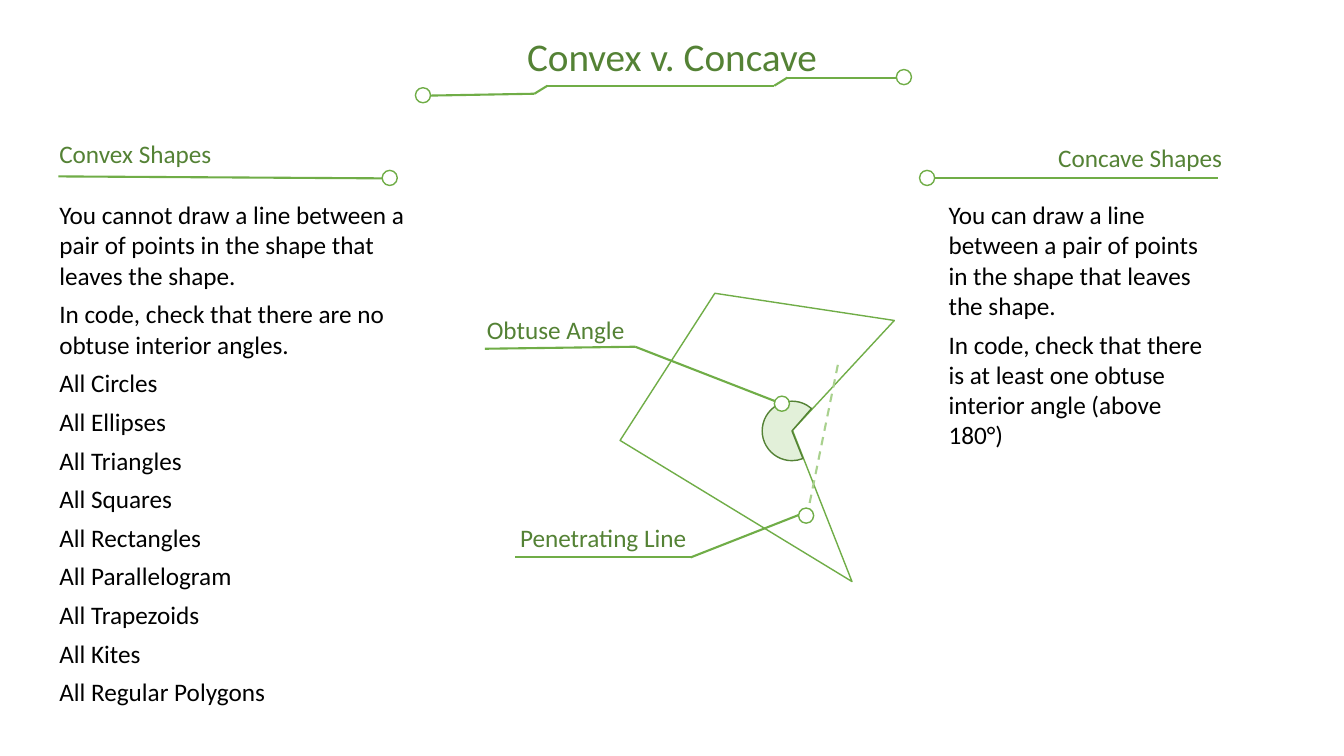
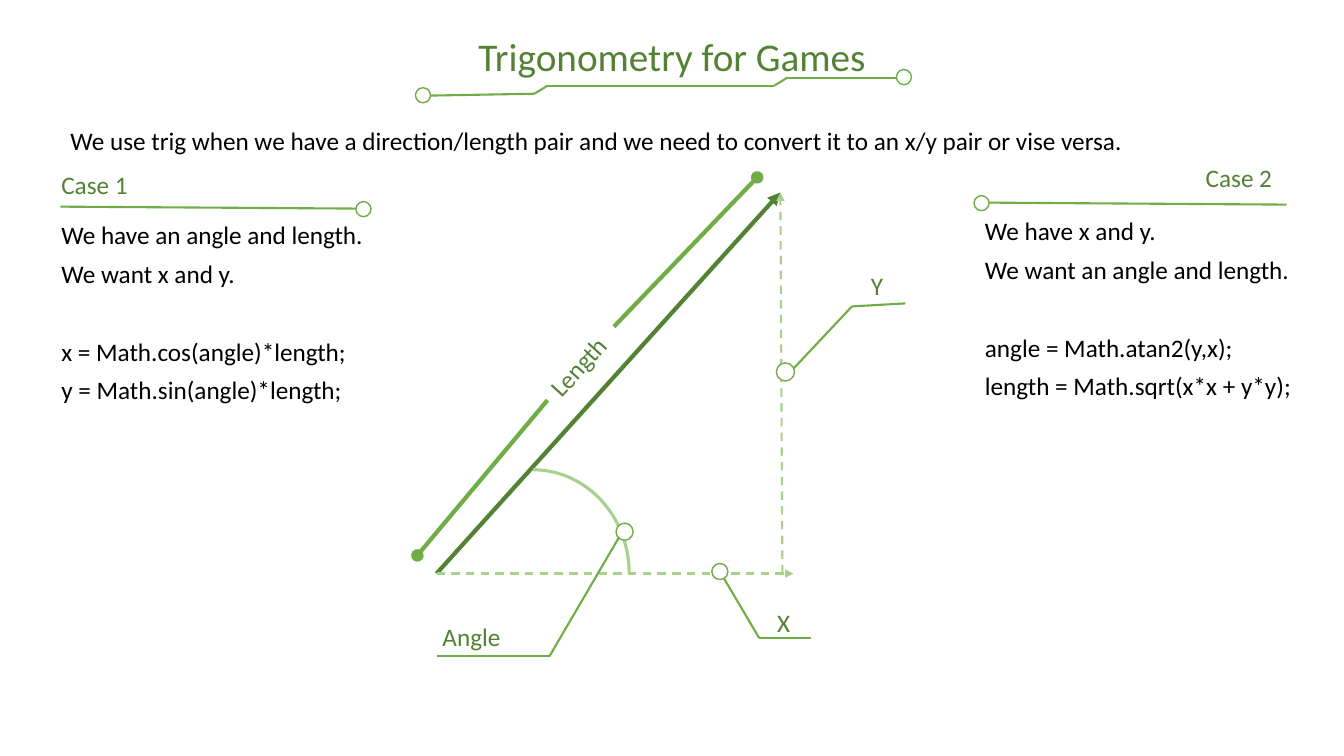
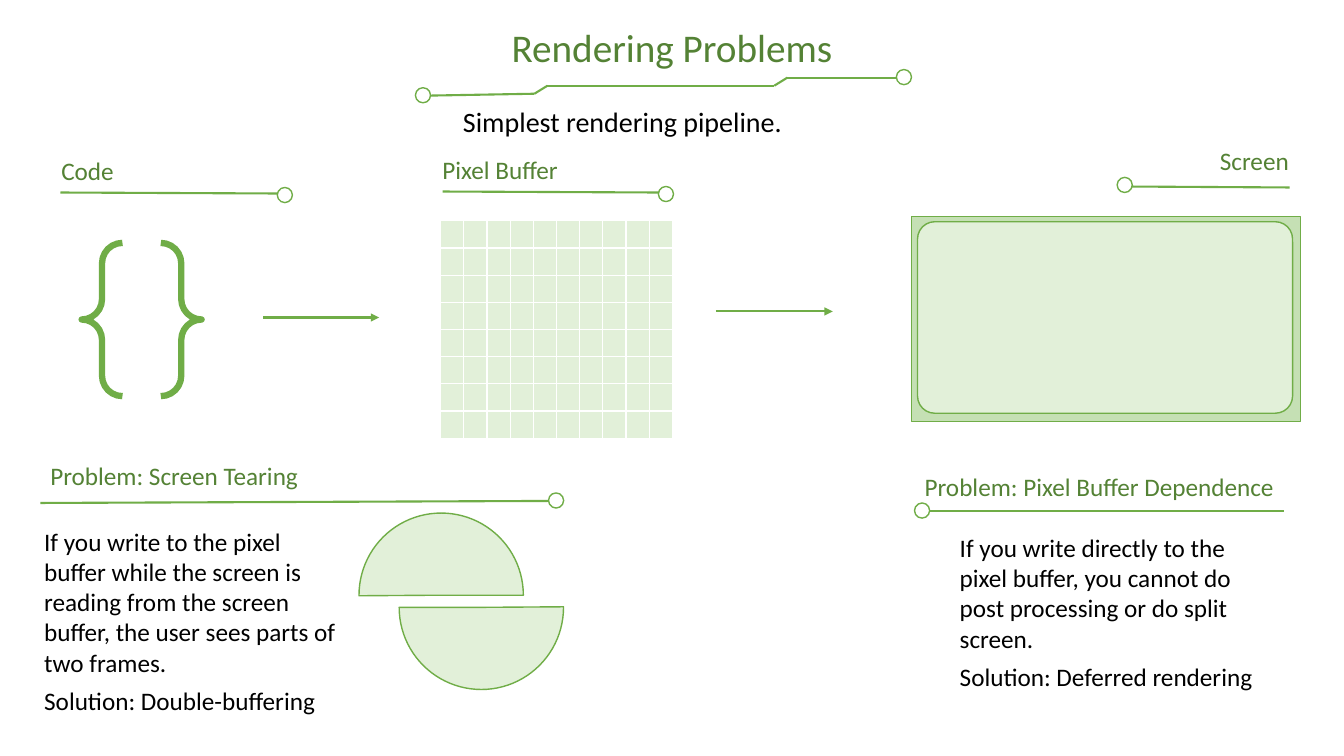
import lxml.etree
import pptx
import pptx.dml.color
import pptx.enum.dml
import pptx.enum.shapes
import pptx.enum.text
import pptx.oxml.ns
import pptx.util

SHAPE = pptx.enum.shapes.MSO_SHAPE
ALIGN = pptx.enum.text.PP_ALIGN
LEFT, CENTER, RIGHT = ALIGN.LEFT, ALIGN.CENTER, ALIGN.RIGHT
qn = pptx.oxml.ns.qn

# Shared look: 100 px to the inch
SCALE = 9144
FONT = "Calibri"
WHITE, BLACK = "FFFFFF", "000000"
DARK, GREEN, LIGHT, SOFT, PALE = "548235", "70AD47", "A9D18E", "C5E0B4", "E2F0D9"
RING = 15
TITLE_RULE = [(417, 95), (530, 93), (543, 85), (768, 85), (781, 77), (894, 77)]
TITLE_RINGS = [(412, 87), (889, 69)]

# Callouts: text, box, alignment, rule points, ring (left, top, size)
CONVEX_CALLOUTS = [
    ("Convex Shapes", (49, 132, 173, 40), LEFT, [(58, 175), (384, 177)], (379, 169, RING)),
    ("Concave Shapes", (914, 136, 308, 40), RIGHT, [(923, 177), (1208, 177)], (912, 169, RING)),
    ("Obtuse Angle", (473, 307, 158, 40), LEFT,
     [(481, 346), (630, 344), (774, 400)], (768, 393, RING)),
    ("Penetrating Line", (506, 513, 187, 40), LEFT,
     [(511, 553), (685, 553), (792, 511)], (792, 504, RING)),
]
TRIG_CALLOUTS = [
    ("Case 1", (51, 163, 87, 40), LEFT, [(60, 205), (360, 207)], (353, 200, RING)),
    ("Case 2", (1186, 156, 87, 40), LEFT, [(976, 201), (1276, 203)], (966, 194, RING)),
    ("Y", (854, 263, 49, 61), LEFT, [(898, 301), (845, 304), (782, 371)], (770, 360, 18)),
    ("X", (761, 598, 51, 61), LEFT, [(804, 633), (753, 633), (714, 567)], (706, 559, 16)),
    ("Angle", (429, 611, 119, 61), LEFT, [(433, 651), (545, 651), (614, 533)], (611, 519, 17)),
]
RENDER_CALLOUTS = [
    ("Code", (51, 149, 73, 40), LEFT, [(60, 191), (278, 192)], (275, 186, RING)),
    ("Pixel Buffer", (429, 148, 136, 40), LEFT, [(439, 190), (656, 191)], (653, 185, RING)),
    ("Screen", (1200, 139, 89, 40), LEFT, [(1112, 185), (1279, 186)], (1108, 176, RING)),
    ("Problem: Screen Tearing", (40, 452, 269, 40), LEFT,
     [(40, 499), (544, 497)], (544, 489, RING)),
    ("Problem: Pixel Buffer Dependence ", (816, 463, 463, 40), RIGHT,
     [(922, 507), (1274, 507)], (907, 499, RING)),
]

# Body texts
CONVEX_TEXT = [
    "You cannot draw a line between a pair of points in the shape that leaves the shape.",
    "In code, check that there are no obtuse interior angles.",
] + ["All " + kind for kind in (
    "Circles", "Ellipses", "Triangles", "Squares", "Rectangles",
    "Parallelogram", "Trapezoids", "Kites", "Regular Polygons")]
CONCAVE_TEXT = [
    "You can draw a line between a pair of points in the shape that leaves the shape.",
    "In code, check that there is at least one obtuse interior angle (above 180°)",
]
TRIG_INTRO = ["We use trig when we have a direction/length pair and we need to convert it "
              "to an x/y pair or vise versa."]
CASE_1 = ["We have an angle and length.", "We want x and y.",
          "x = Math.cos(angle)*length;", "y = Math.sin(angle)*length;"]
CASE_2 = ["We have x and y.", "We want an angle and length.",
          "angle = Math.atan2(y,x);", "length = Math.sqrt(x*x + y*y);"]
TEARING = [
    "If you write to the pixel buffer while the screen is reading from the screen buffer, "
    "the user sees parts of two frames.",
    "Solution: Double-buffering",
]
DEPENDENCE = [
    "If you write directly to the pixel buffer, you cannot do post processing or do split screen.",
    "Solution: Deferred rendering",
]

# Figures
CONCAVE_OUTLINE = [(786, 427), (887, 318), (709, 291), (615, 437), (845, 577)]
OBTUSE_ANGLE = (68.2, 311.15)
HALF_CIRCLE = (89.6, 270)
# Start, end, colour, width, dashed, arrowhead at the end
TRIG_LINES = [
    ((433, 569), (774, 191), DARK, 3, False, "triangle"),
    ((433, 569), (787, 569), LIGHT, 1.5, True, "triangle"),
    ((776, 569), (774, 191), LIGHT, 1.5, True, "triangle"),
    ((609, 324), (751, 176), GREEN, 3, False, "oval"),
    ((543, 397), (414, 551), GREEN, 3, False, "oval"),
]
PIPELINE_ARROWS = [((261, 315), (376, 315)), ((710, 309), (826, 309))]
BUFFER_ROWS, BUFFER_COLUMNS = 8, 10
PIXEL_WIDTH, PIXEL_HEIGHT = 23, 27


def px(*lengths):
    return [pptx.util.Emu(length * SCALE) for length in lengths]


def color(value):
    return pptx.dml.color.RGBColor.from_string(value)


def style(shape, fill, line, width=1):
    shape.shadow.inherit = False
    if fill:
        shape.fill.solid()
        shape.fill.fore_color.rgb = color(fill)
    else:
        shape.fill.background()
    shape.line.color.rgb = color(line)
    shape.line.width = pptx.util.Pt(width)


def add_shape(slide, kind, box, fill=None, line=GREEN, width=1, adjustments=(), rotation=0):
    shape = slide.shapes.add_shape(kind, *px(*box))
    style(shape, fill, line, width)
    for index, value in enumerate(adjustments):
        shape.adjustments[index] = value
    shape.rotation = rotation


def add_pie(slide, box, angles, line=GREEN, rotation=0):
    # Adjustments count 60000ths of a degree in units of 100000
    add_shape(slide, SHAPE.PIE, box, PALE, line, 1, [angle * 0.6 for angle in angles], rotation)


def add_ring(slide, left, top, size=RING):
    add_shape(slide, SHAPE.OVAL, (left, top, size, size), WHITE)


def add_line(slide, start, end, stroke=GREEN, width=1.5, dashed=False, arrowhead=None):
    connector = slide.shapes.add_connector(
        pptx.enum.shapes.MSO_CONNECTOR.STRAIGHT, *px(*start, *end))
    connector.line.color.rgb = color(stroke)
    connector.line.width = pptx.util.Pt(width)
    if dashed:
        connector.line.dash_style = pptx.enum.dml.MSO_LINE.DASH
    if arrowhead:
        lxml.etree.SubElement(connector.line._ln, qn("a:tailEnd"), type=arrowhead)
    lxml.etree.SubElement(connector._element.spPr, qn("a:effectLst"))


def add_path(slide, points):
    for start, end in zip(points, points[1:]):
        add_line(slide, start, end)


def add_text(slide, texts, box, size=18, ink=BLACK, align=LEFT, after=6, wrap=True,
             wide_gap_after=None):
    shape = slide.shapes.add_textbox(*px(*box))
    frame = shape.text_frame
    frame.word_wrap = wrap
    frame.text = "\n".join(texts)
    for index, paragraph in enumerate(frame.paragraphs):
        paragraph.alignment = align
        paragraph.space_after = pptx.util.Pt(34 if index == wide_gap_after else after)
        paragraph.font.name = FONT
        paragraph.font.size = pptx.util.Pt(size)
        paragraph.font.color.rgb = color(ink)
    return shape


def add_callouts(slide, callouts):
    for text, box, align, points, ring in callouts:
        add_path(slide, points)
        add_ring(slide, *ring)
        add_text(slide, [text], box, ink=DARK, align=align, after=0, wrap=align != LEFT)


def add_slide(presentation, title, title_top=27):
    slide = presentation.slides.add_slide(presentation.slide_layouts[6])
    add_text(slide, [title], (0, title_top, 1333, 57), 28, DARK, CENTER, 0)
    add_path(slide, TITLE_RULE)
    for left, top in TITLE_RINGS:
        add_ring(slide, left, top)
    return slide


def add_pixel_buffer(slide, left, top):
    table = slide.shapes.add_table(
        BUFFER_ROWS, BUFFER_COLUMNS,
        *px(left, top, BUFFER_COLUMNS * PIXEL_WIDTH, BUFFER_ROWS * PIXEL_HEIGHT)).table
    for column in table.columns:
        column.width = px(PIXEL_WIDTH)[0]
    for row in table.rows:
        row.height = px(PIXEL_HEIGHT)[0]
    for cell in table.iter_cells():
        cell.margin_left = cell.margin_right = cell.margin_top = cell.margin_bottom = 0
        properties = cell._tc.get_or_add_tcPr()
        for side in ("a:lnL", "a:lnR", "a:lnT", "a:lnB"):
            border = lxml.etree.SubElement(properties, qn(side), w="12700")
            solid = lxml.etree.SubElement(border, qn("a:solidFill"))
            lxml.etree.SubElement(solid, qn("a:srgbClr"), val=WHITE)
        cell.fill.solid()
        cell.fill.fore_color.rgb = color(PALE)
        # Small type keeps the empty rows low
        lxml.etree.SubElement(cell.text_frame.paragraphs[0]._p, qn("a:endParaRPr"), sz="800")


def build_convex(presentation):
    slide = add_slide(presentation, "Convex v. Concave")
    outline = slide.shapes.build_freeform(*CONCAVE_OUTLINE[0], scale=SCALE)
    outline.add_line_segments(CONCAVE_OUTLINE[1:], close=True)
    style(outline.convert_to_shape(), None, GREEN)
    add_pie(slide, (756, 398, 59, 59), OBTUSE_ANGLE, DARK)
    add_line(slide, (831, 362), (801, 509), LIGHT, dashed=True)
    add_callouts(slide, CONVEX_CALLOUTS)
    add_text(slide, CONVEX_TEXT, (49, 193, 363, 518))
    add_text(slide, CONCAVE_TEXT, (931, 193, 285, 261))


def build_trigonometry(presentation):
    slide = add_slide(presentation, "Trigonometry for Games")
    add_text(slide, TRIG_INTRO, (60, 119, 1073, 40))
    for line in TRIG_LINES:
        add_line(slide, *line)
    add_shape(slide, SHAPE.ARC, (433, 466, 191, 205), None, LIGHT, 2.25)
    length = add_text(slide, ["Length"], (527, 340, 98, 40), ink=DARK, after=0)
    length.rotation = 312.1
    add_callouts(slide, TRIG_CALLOUTS)
    add_text(slide, CASE_1, (51, 213, 335, 195), wide_gap_after=1)
    add_text(slide, CASE_2, (967, 209, 335, 195), wide_gap_after=1)


def build_rendering(presentation):
    slide = add_slide(presentation, "Rendering Problems", 18)
    add_text(slide, ["Simplest rendering pipeline."], (81, 99, 1073, 44), 20, align=CENTER)
    # Code, pixel buffer and screen
    add_shape(slide, SHAPE.DOUBLE_BRACE, (81, 241, 119, 152), width=4.5, adjustments=[0.17])
    add_pixel_buffer(slide, 437, 219)
    add_shape(slide, SHAPE.RECTANGLE, (904, 215, 386, 203), SOFT)
    add_shape(slide, SHAPE.ROUNDED_RECTANGLE, (910, 220, 372, 190), PALE, adjustments=[0.09])
    for start, end in PIPELINE_ARROWS:
        add_line(slide, start, end, arrowhead="triangle")
    # Problems
    add_callouts(slide, RENDER_CALLOUTS)
    add_pie(slide, (356, 509, 163, 163), HALF_CIRCLE, rotation=90)
    add_pie(slide, (396, 521, 163, 163), HALF_CIRCLE, rotation=270)
    add_text(slide, TEARING, (34, 517, 314, 200))
    add_text(slide, DEPENDENCE, (942, 523, 332, 170))


def main():
    presentation = pptx.Presentation()
    presentation.slide_width, presentation.slide_height = px(1333, 750)
    build_convex(presentation)
    build_trigonometry(presentation)
    build_rendering(presentation)
    presentation.save("out.pptx")


if __name__ == "__main__":
    main()
